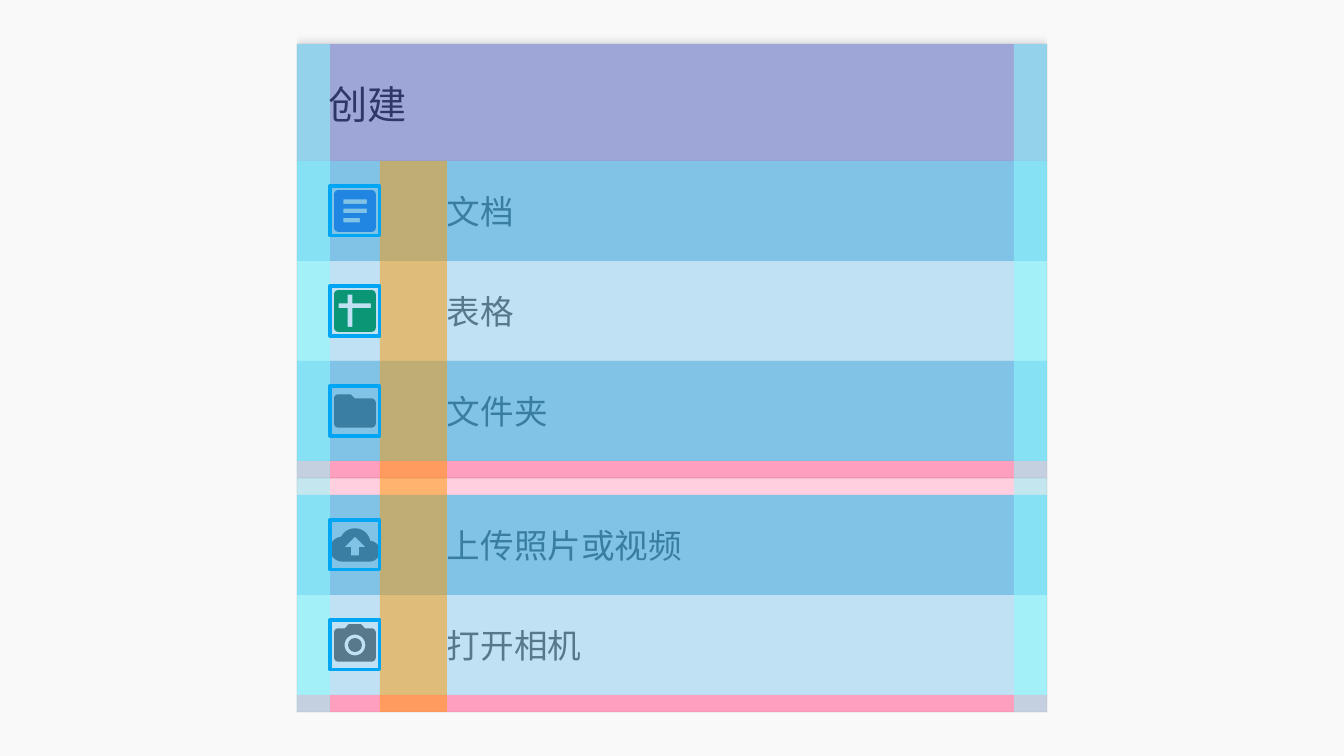
from dataclasses import dataclass
from math import cos, radians, sin

from lxml.etree import SubElement
from pptx import Presentation
from pptx.dml.color import RGBColor
from pptx.enum.shapes import MSO_CONNECTOR, MSO_SHAPE
from pptx.enum.text import MSO_AUTO_SIZE
from pptx.oxml.ns import qn
from pptx.util import Emu, Pt

WIDE, HIGH = 1344, 756
SCALE = 12192000 / WIDE
GRID = 24    # units across an icon
FINE = 100   # freeform steps in one icon unit


@dataclass(frozen=True)
class Theme:
    font: str = "Roboto"
    head: int = 28
    body: int = 24
    page: str = "F9F9F9"
    card: str = "FFFFFF"
    ink: str = "000000"
    doc: str = "4285F4"
    sheet: str = "0F9D58"
    title: str = "3E4FB1"
    row: str = "0288D1"
    gap: str = "FF4081"
    edge: str = "8BFFFF"
    inset: str = "FF9800"
    frame: str = "00A5F4"


def px(n):
    return Emu(round(n * SCALE))


def arc(x, y, r, start, end):
    """Points along a circle, clockwise, with angles in degrees."""
    steps = max(6, round(abs(end - start) / 10))
    turns = [radians(start + (end - start) * i / steps) for i in range(steps + 1)]
    return [(x + r * cos(t), y + r * sin(t)) for t in turns]


def slab(left, right, low, bump=()):
    """Rounded block whose top edge runs from left to right height by way of bump."""
    return (arc(4, left + 2, 2, 180, 270) + list(bump) + arc(20, right + 2, 2, 270, 360)
            + arc(20, low - 2, 2, 0, 90) + arc(4, low - 2, 2, 90, 180))


def bar(x, y, end, low):
    return [(x, y), (end, y), (end, low), (x, low)]


class Board:
    def __init__(self, slide, theme):
        self.slide, self.theme = slide, theme
        self.shapes = slide.shapes
        fill = slide.background.fill
        fill.solid()
        fill.fore_color.rgb = RGBColor.from_string(theme.page)

    def paint(self, fill, color, alpha=100):
        fill.solid()
        fill.fore_color.rgb = RGBColor.from_string(color)
        if alpha < 100:
            tone = fill._xPr.find(".//" + qn("a:srgbClr"))
            SubElement(tone, qn("a:alpha"), val=str(alpha * 1000))

    def rect(self, x, y, w, h, color, alpha=100, kind=MSO_SHAPE.RECTANGLE):
        shape = self.shapes.add_shape(kind, px(x), px(y), px(w), px(h))
        shape.shadow.inherit = False
        shape.line.fill.background()
        self.paint(shape.fill, color, alpha)
        return shape

    def card(self, x, y, w, h):
        """White sheet with a soft shadow that falls upward."""
        shape = self.rect(x, y, w, h, self.theme.card)
        glow = SubElement(shape._element.spPr.find(qn("a:effectLst")), qn("a:outerShdw"),
                          blurRad=str(Pt(6)), dist=str(Pt(1.5)), dir="16200000",
                          algn="b", rotWithShape="0")
        tone = SubElement(glow, qn("a:srgbClr"), val=self.theme.ink)
        SubElement(tone, qn("a:alpha"), val="12000")

    def frame(self, x, y, size):
        shape = self.rect(x, y, size, size, self.theme.frame)
        shape.fill.background()
        shape.line.color.rgb = RGBColor.from_string(self.theme.frame)
        shape.line.width = Pt(2.25)

    def rule(self, x, y, end, low, width):
        line = self.shapes.add_connector(MSO_CONNECTOR.STRAIGHT, px(x), px(y), px(end), px(low))
        line.line.width = Pt(width)
        self.paint(line.line.fill, self.theme.ink, 12)
        SubElement(line._element.spPr, qn("a:effectLst"))

    def icon(self, x, y, size, paths, color, alpha=100):
        """One freeform; every path after the first cuts a hole."""
        paths = [[(a * FINE, b * FINE) for a, b in path] for path in paths]
        pen = self.shapes.build_freeform(*paths[0][0], scale=size * SCALE / GRID / FINE)
        for i, path in enumerate(paths):
            if i:
                pen.move_to(*path[0])
            pen.add_line_segments(path[1:], close=True)
        shape = pen.convert_to_shape(px(x), px(y))
        shape.shadow.inherit = False
        shape.line.fill.background()
        self.paint(shape.fill, color, alpha)

    def text(self, x, y, h, words, size, alpha):
        width = len(words) * Pt(size) + px(20)
        frame = self.shapes.add_textbox(px(x), px(y), width, px(h)).text_frame
        frame.word_wrap = False
        frame.auto_size = MSO_AUTO_SIZE.SHAPE_TO_FIT_TEXT
        run = frame.paragraphs[0].add_run()
        run.text = words
        run.font.name = self.theme.font
        run.font.size = Pt(size)
        self.paint(run.font.fill, self.theme.ink, alpha)


def main():
    deck = Presentation()
    deck.slide_width, deck.slide_height = px(WIDE), px(HIGH)
    theme = Theme()
    board = Board(deck.slides.add_slide(deck.slide_layouts[6]), theme)

    left, top, wide = 297, 44, 750
    head, row, gap, edge, size, inset = 117, 100, 17, 33, 50, 67
    right, first = left + wide, top + head
    split = first + 3 * row
    after = split + 2 * gap
    last = after + 2 * row
    base = last + gap
    start = left + edge
    label = start + size + inset - 10
    pad = (row - size) // 2

    doc = [slab(2, 2, 22)] + [bar(6.5, y, end, y + 2.2)
                              for y, end in ((6.4, 17.7), (10.9, 17.7), (15.3, 14.4))]
    cross = [(8.5, 4.1), (10.8, 4.1), (10.8, 8.4), (19.6, 8.4), (19.6, 10.7), (10.8, 10.7),
             (10.8, 19.6), (8.5, 19.6), (8.5, 10.7), (4.2, 10.7), (4.2, 8.4), (8.5, 8.4)]
    cloud = arc(12, 11.5, 7.5, 208, 349) + arc(19, 15, 5, -86, 90) + arc(6, 14, 6, 90, 264)
    arrow = [(14, 13), (14, 17), (10, 17), (10, 13), (7, 13), (12, 8), (17, 13)]
    folder = slab(4, 6, 20, [(10, 4), (12, 6)])
    camera = slab(4, 4, 20, [(7.17, 4), (9, 2), (15, 2), (16.83, 4)])
    items = [
        (first, "文档", doc, theme.doc, 100, 50),
        (first + row, "表格", [slab(2, 2, 22), cross], theme.sheet, 100, 25),
        (first + 2 * row, "文件夹", [folder], theme.ink, 54, 50),
        (after, "上传照片或视频", [cloud, arrow], theme.ink, 54, 50),
        (after + row, "打开相机", [camera, arc(12, 12, 5, 0, 350)], theme.ink, 54, 25),
    ]

    board.card(left, top, wide, base - top)
    for y, words, paths, color, alpha, _ in items:
        board.icon(start, y + pad, size, paths, color, alpha)
        board.text(label, y + pad, size, words, theme.body, 54)
    lens = 14
    board.rect(start + (size - lens) // 2, after + row + (row - lens) // 2, lens, lens,
               theme.ink, 54, MSO_SHAPE.OVAL)
    board.rule(left, split + gap, right, split + gap, 1)
    board.text(start - 11, top + 31, 57, "创建", theme.head, 87)

    for x in (0, right):
        board.rect(x, 0, left, HIGH, theme.page)
    board.rect(left, base, wide, HIGH - base, theme.page)
    for x in (left, right):
        board.rule(x, top, x, base, 0.5)
    board.rule(left, base, right, base, 0.5)

    for y, alpha in ((split, 50), (split + gap, 25), (last, 50)):
        board.rect(left, y, wide, gap, theme.gap, alpha)
    for y, *_, alpha in items:
        board.rect(left, y, wide, row, theme.row, alpha)
    board.rect(left, top, wide, head, theme.title, 50)
    for x in (left, right - edge):
        board.rect(x, top, edge, base - top, theme.edge, 50)
    board.rect(start + size, first, inset, base - first, theme.inset, 50)
    for y, *_ in items:
        board.frame(start, y + pad, size)

    deck.save("out.pptx")


if __name__ == "__main__":
    main()
